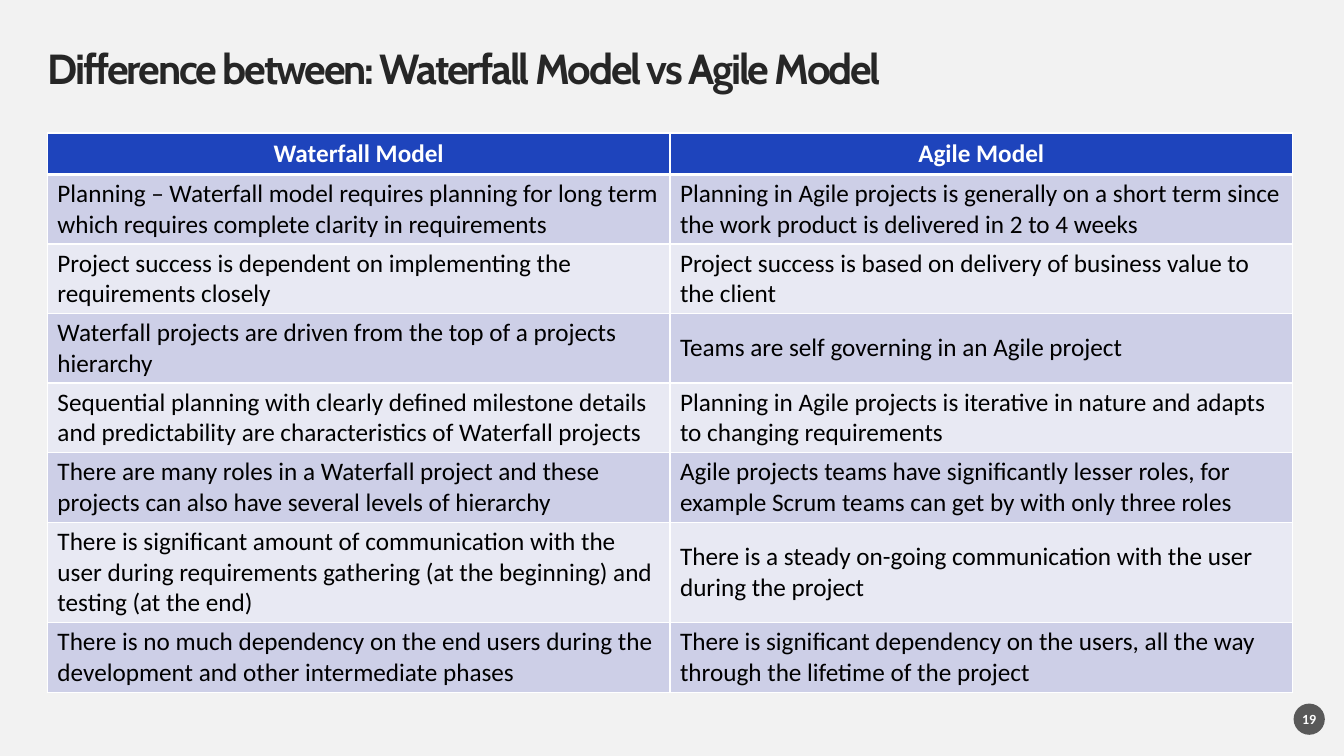
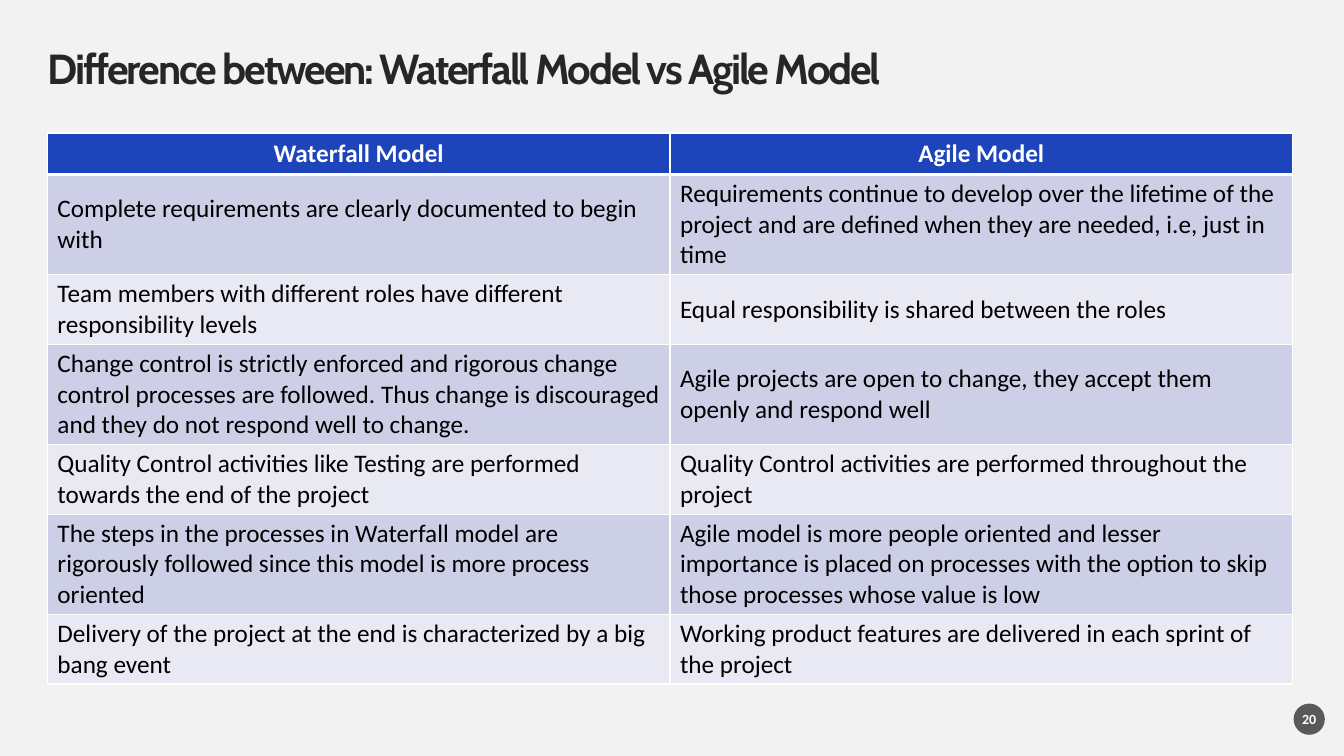
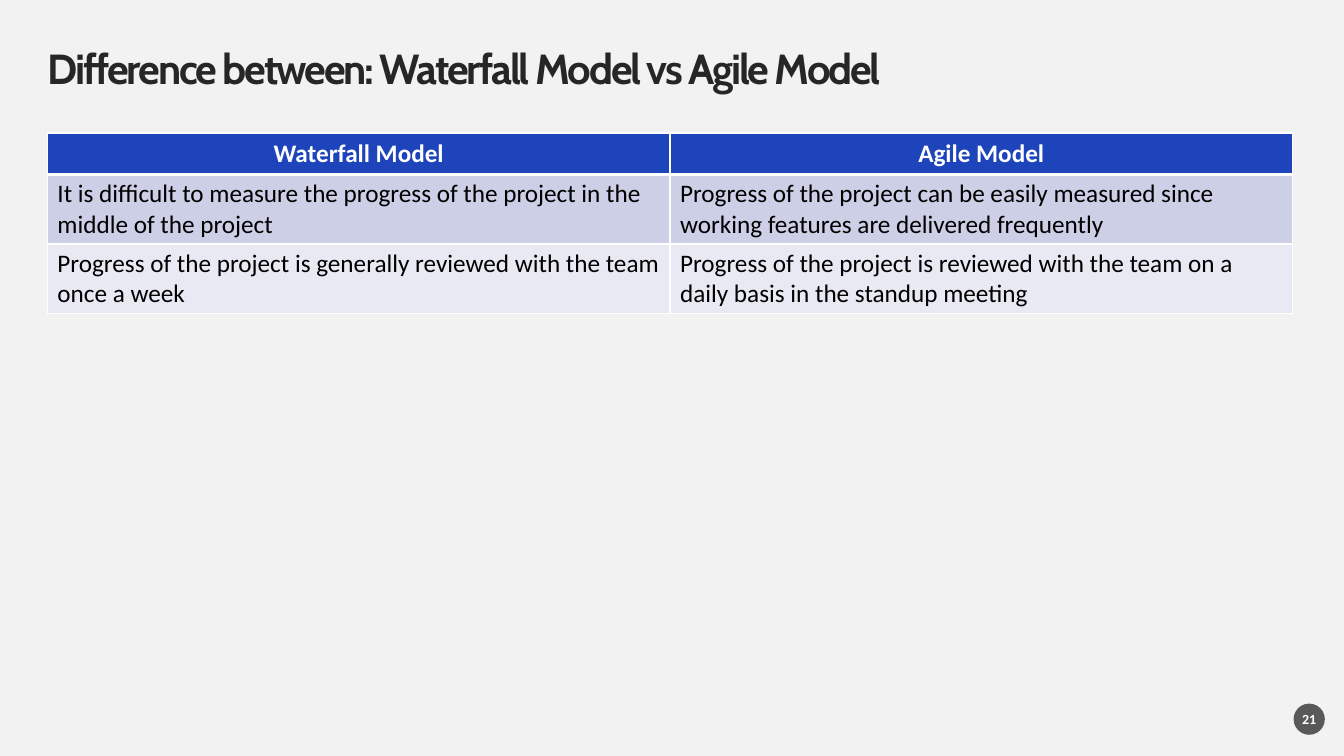
"""Build three slides that compare the Waterfall and Agile models."""
import pptx
import pptx.dml.color
import pptx.enum.shapes
import pptx.enum.text
import pptx.oxml
import pptx.oxml.ns
import pptx.util

Inches = pptx.util.Inches
Pt = pptx.util.Pt
ALIGN = pptx.enum.text.PP_ALIGN
MIDDLE = pptx.enum.text.MSO_ANCHOR.MIDDLE

COLORS = {
    "page": "F2F2F2", "title": "262626", "badge": "595959", "head": "1E44BC",
    "odd": "CDCFE7", "even": "E8E9F3", "white": "FFFFFF", "black": "000000",
}
FONTS = {
    "title": {"name": "Cabin", "size": Pt(30), "bold": True},
    "badge": {"name": "Calibri", "size": Pt(10), "bold": True},
    "head": {"name": "Calibri", "size": Pt(18), "bold": True},
    "body": {"name": "Calibri", "size": Pt(18), "bold": False},
}
PARAS = {
    "title": {"alignment": ALIGN.LEFT, "line_spacing": 0.9},
    "badge": {"alignment": ALIGN.CENTER, "space_after": Pt(6)},
    "head": {"alignment": ALIGN.CENTER},
    "body": {"alignment": ALIGN.LEFT},
}
INKS = {"title": "title", "badge": "white", "head": "white", "body": "black"}
FRAME = {
    "margin_left": 0, "margin_top": 0, "margin_right": 0, "margin_bottom": 0,
    "vertical_anchor": MIDDLE, "word_wrap": True,
    "auto_size": pptx.enum.text.MSO_AUTO_SIZE.NONE,
}
CELL = {
    "margin_left": Inches(0.1), "margin_top": Inches(0.04),
    "margin_right": Inches(0.1), "margin_bottom": Inches(0.04),
    "vertical_anchor": MIDDLE,
}

TITLE = "Difference between: Waterfall Model vs Agile Model"
HEADS = ("Waterfall Model", "Agile Model")
FIRST = 19
LEFT, TOP, WIDTH, ROW = 0.47, 1.32, 12.35, 0.41

PAGES = [
    (5.49, [
        ("Planning – Waterfall model requires planning for long term which requires complete clarity in requirements",
         "Planning in Agile projects is generally on a short term since the work product is delivered in 2 to 4 weeks"),
        ("Project success is dependent on implementing the requirements closely",
         "Project success is based on delivery of business value to the client"),
        ("Waterfall projects are driven from the top of a projects hierarchy",
         "Teams are self governing in an Agile project"),
        ("Sequential planning with clearly defined milestone details and predictability are characteristics of Waterfall projects",
         "Planning in Agile projects is iterative in nature and adapts to changing requirements"),
        ("There are many roles in a Waterfall project and these projects can also have several levels of hierarchy",
         "Agile projects teams have significantly lesser roles, for example Scrum teams can get by with only three roles"),
        ("There is significant amount of communication with the user during requirements gathering (at the beginning) and testing (at the end)",
         "There is a steady on-going communication with the user during the project"),
        ("There is no much dependency on the end users during the development and other intermediate phases",
         "There is significant dependency on the users, all the way through the lifetime of the project"),
    ]),
    (5.41, [
        ("Complete requirements are clearly documented to begin with",
         "Requirements continue to develop over the lifetime of the project and are defined when they are needed, i.e, just in time"),
        ("Team members with different roles have different responsibility levels",
         "Equal responsibility is shared between the roles"),
        ("Change control is strictly enforced and rigorous change control processes are followed. Thus change is discouraged and they do not respond well to change.",
         "Agile projects are open to change, they accept them openly and respond well"),
        ("Quality Control activities like Testing are performed towards the end of the project",
         "Quality Control activities are performed throughout the project"),
        ("The steps in the processes in Waterfall model are rigorously followed since this model is more process oriented",
         "Agile model is more people oriented and lesser importance is placed on processes with the option to skip those processes whose value is low"),
        ("Delivery of the project at the end is characterized by a big bang event",
         "Working product features are delivered in each sprint of the project"),
    ]),
    (1.77, [
        ("It is difficult to measure the progress of the project in the middle of the project",
         "Progress of the project can be easily measured since working features are delivered frequently"),
        ("Progress of the project is generally reviewed with the team once a week",
         "Progress of the project is reviewed with the team on a daily basis in the standup meeting"),
    ]),
]


def apply(item, values):
    """Set each attribute of the item from a dict."""
    for key, value in values.items():
        setattr(item, key, value)


def paint(fill, color):
    """Give a fill one solid colour."""
    fill.solid()
    fill.fore_color.rgb = pptx.dml.color.RGBColor.from_string(COLORS[color])


def write(frame, text, style):
    """Put styled text in a frame and return its run."""
    para = frame.paragraphs[0]
    apply(para, PARAS[style])
    run = para.add_run()
    run.text = text
    apply(run.font, FONTS[style])
    paint(run.font.fill, INKS[style])
    return run


def add_title(slide):
    """Place and format the title."""
    shape = slide.shapes.title
    apply(shape, {"left": Inches(LEFT), "top": Inches(0.47),
                  "width": Inches(12.39), "height": Inches(0.47)})
    apply(shape.text_frame, FRAME)
    run = write(shape.text_frame, TITLE, "title")
    run.font._element.set("spc", "-150")


def add_badge(slide, number):
    """Draw the round page number."""
    size = Inches(0.31)
    oval = slide.shapes.add_shape(pptx.enum.shapes.MSO_SHAPE.OVAL,
                                  Inches(12.83), Inches(6.98), size, size)
    oval.shadow.inherit = False
    paint(oval.fill, "badge")
    oval.line.fill.background()
    apply(oval.text_frame, FRAME)
    write(oval.text_frame, str(number), "badge")


def add_edges(cell, widths):
    """Draw white cell borders with widths in points."""
    props = cell._tc.get_or_add_tcPr()
    for side in "LRTB":
        props.append(pptx.oxml.parse_xml(
            f'<a:ln{side} {pptx.oxml.ns.nsdecls("a")} w="{Pt(widths.get(side, 1))}">'
            f'<a:solidFill><a:srgbClr val="{COLORS["white"]}"/></a:solidFill>'
            f'</a:ln{side}>'))


def add_grid(slide, rows, height):
    """Add the table of paired points below its heading row."""
    lines = [HEADS, *rows]
    frame = slide.shapes.add_table(len(lines), len(HEADS), Inches(LEFT),
                                   Inches(TOP), Inches(WIDTH), Inches(height))
    table = frame.table
    edges = {0: {"B": 3}, 1: {"T": 3}}
    for r, line in enumerate(lines):
        table.rows[r].height = Inches(ROW)
        color = "head" if r == 0 else "odd" if r % 2 else "even"
        for c, text in enumerate(line):
            cell = table.cell(r, c)
            apply(cell, CELL)
            add_edges(cell, edges.get(r, {}))
            paint(cell.fill, color)
            write(cell.text_frame, text, "body" if r else "head")
    frame.height = Inches(height)


def main():
    """Build and save the deck."""
    deck = pptx.Presentation()
    apply(deck, {"slide_width": Inches(13.33), "slide_height": Inches(7.5)})
    paint(deck.slide_master.background.fill, "page")
    for number, (height, rows) in enumerate(PAGES, FIRST):
        slide = deck.slides.add_slide(deck.slide_layouts[5])
        add_title(slide)
        add_badge(slide, number)
        add_grid(slide, rows, height)
    deck.save("out.pptx")


if __name__ == "__main__":
    main()
